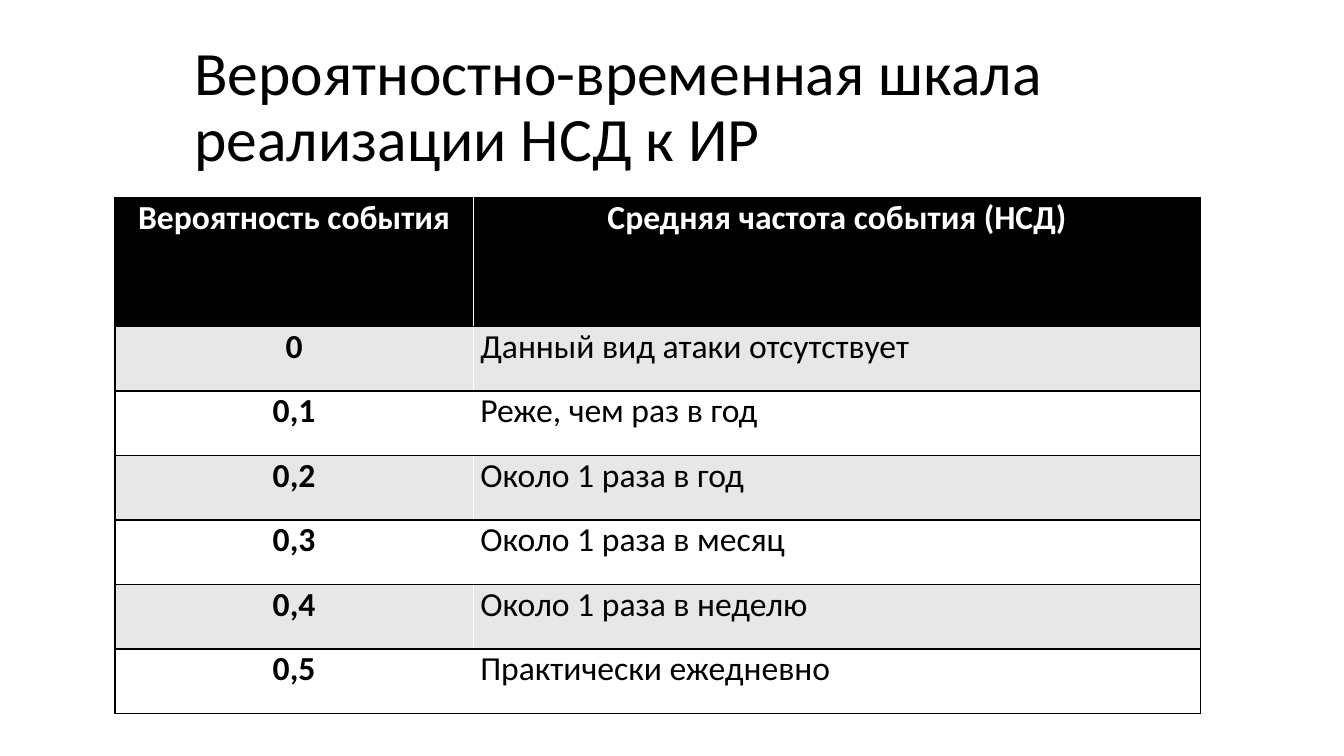
from lxml.etree import SubElement
from pptx import Presentation
from pptx.dml.color import RGBColor
from pptx.enum.text import MSO_ANCHOR, PP_ALIGN
from pptx.oxml.ns import qn
from pptx.util import Inches, Pt

FONT = "Calibri"
BLACK, WHITE, GRAY = "000000", "FFFFFF", "E7E7E7"
TITLE = "Вероятностно-временная шкала реализации НСД к ИР"
HEADER = ("Вероятность события", "Средняя частота события (НСД)")
SCALE = [
    ("0", "Данный вид атаки отсутствует"),
    ("0,1", "Реже, чем раз в год"),
    ("0,2", "Около 1 раза в год"),
    ("0,3", "Около 1 раза в месяц"),
    ("0,4", "Около 1 раза в неделю"),
    ("0,5", "Практически ежедневно"),
]
COLUMN_SHARES = (0.33, 0.67)
HEADER_UNITS = 2


def color(value):
    return RGBColor.from_string(value)


def write_text(frame, text, size=24, ink=BLACK, bold=False,
               align=PP_ALIGN.LEFT, line_spacing=1.0):
    frame.word_wrap = True
    paragraph = frame.paragraphs[0]
    paragraph.alignment = align
    paragraph.line_spacing = line_spacing
    run = paragraph.add_run()
    run.text = text
    run.font.name = FONT
    run.font.size = Pt(size)
    run.font.bold = bold
    run.font.color.rgb = color(ink)


def add_borders(cell, sides):
    properties = cell._tc.get_or_add_tcPr()
    for position, side in enumerate(sides):
        line = SubElement(properties, qn(f"a:ln{side}"), w=str(Pt(1)))
        fill = SubElement(line, qn("a:solidFill"))
        SubElement(fill, qn("a:srgbClr"), val=BLACK)
        properties.insert(position, line)


def add_title(slide, left, top, width, height):
    shape = slide.shapes.add_textbox(
        Inches(left), Inches(top), Inches(width), Inches(height))
    shape.text_frame.vertical_anchor = MSO_ANCHOR.MIDDLE
    write_text(shape.text_frame, TITLE, size=44, line_spacing=0.9)


def add_scale_table(slide, left, top, width, height):
    rows = [HEADER, *SCALE]
    table = slide.shapes.add_table(
        len(rows), len(HEADER), Inches(left), Inches(top),
        Inches(width), Inches(height)).table
    for column, share in zip(table.columns, COLUMN_SHARES):
        column.width = Inches(width * share)
    unit = height / (HEADER_UNITS + len(SCALE))
    for row_index, texts in enumerate(rows):
        is_header = row_index == 0
        table.rows[row_index].height = Inches(
            unit * HEADER_UNITS if is_header else unit)
        background = BLACK if is_header else GRAY if row_index % 2 else WHITE
        for column_index, text in enumerate(texts):
            cell = table.cell(row_index, column_index)
            is_key = is_header or column_index == 0
            cell.margin_left = cell.margin_right = Inches(0.07)
            cell.margin_top = cell.margin_bottom = 0
            cell.fill.solid()
            cell.fill.fore_color.rgb = color(background)
            write_text(cell.text_frame, text, bold=is_key,
                       ink=WHITE if is_header else BLACK,
                       align=PP_ALIGN.CENTER if is_key else PP_ALIGN.LEFT)
            add_borders(cell, "LTB" if column_index == 0 else "RTB")


def main():
    presentation = Presentation()
    presentation.slide_width = Inches(13.33)
    presentation.slide_height = Inches(7.5)
    slide = presentation.slides.add_slide(presentation.slide_layouts[6])
    add_title(slide, 1.83, 0.35, 11.5, 1.45)
    add_scale_table(slide, 1.14, 1.96, 10.77, 5.12)
    presentation.save("out.pptx")


if __name__ == "__main__":
    main()
